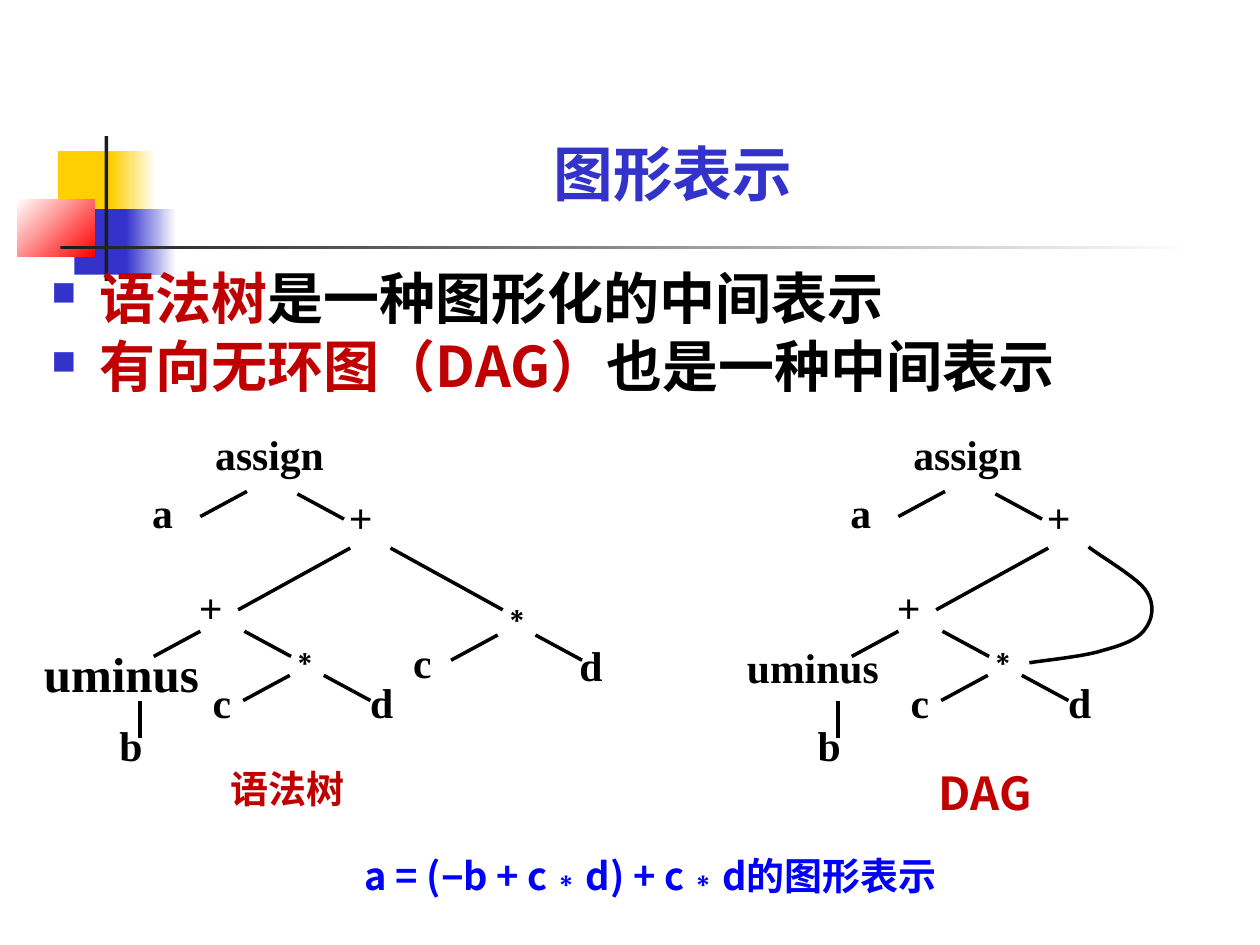
from pptx import Presentation
from pptx.dml.color import RGBColor
from pptx.enum.shapes import MSO_CONNECTOR as Link, MSO_SHAPE as Shape
from pptx.enum.text import MSO_ANCHOR as Anchor, MSO_AUTO_SIZE as Fit, PP_ALIGN as Align
from pptx.oxml.ns import qn
from pptx.util import Inches, Pt
from lxml.etree import SubElement

BLACK = RGBColor(0, 0, 0)
WHITE = RGBColor(255, 255, 255)
DARK = RGBColor(0x1C, 0x1C, 0x1C)
GOLD = RGBColor(0xFF, 0xCF, 0x01)
INDIGO = RGBColor(0x33, 0x33, 0xCC)
RED = RGBColor(255, 0, 0)
CRIMSON = RGBColor(0xC0, 0, 0)
BLUE = RGBColor(0, 0, 255)
SANS, SERIF, ARIAL = "Noto Sans CJK JP", "Times New Roman", "Arial"
STAR, MINUS = "∗", "−"

TITLE = "图形表示"
POINTS = [
    [("语法树", CRIMSON), ("是一种图形化的中间表示", BLACK)],
    [("有向无环图（DAG）", CRIMSON), ("也是一种中间表示", BLACK)],
]
FORMULA = ["a = (", MINUS, "b + c", STAR, "d) + c", STAR, "d的图形表示"]

# box, start colour, end colour (None for a plain fill), angle
DECOR = [
    ((0.46, 1.2, 0.48, 0.52), GOLD, None, 0),
    ((0.88, 1.2, 0.36, 0.52), GOLD, WHITE, 0),
    ((0.59, 1.66, 0.46, 0.52), INDIGO, None, 0),
    ((1, 1.66, 0.4, 0.52), INDIGO, WHITE, 0),
    ((0.14, 1.58, 0.61, 0.46), WHITE, RED, 315),
    ((0.83, 1.08, 0.03, 1.15), DARK, None, 0),
    ((0.48, 1.95, 9, 0.03), DARK, WHITE, 0),
]

# Both trees share these parts; the DAG stands SHIFT inches to the right.
SHIFT = 5.54
NODES = [
    ("assign", 1.61, 3.44), ("a", 1.11, 3.9), ("+", 2.67, 3.94),
    ("+", 1.48, 4.65), (STAR, 2.16, 5.02), ("b", 0.85, 5.75),
    ("c", 1.59, 5.41), ("d", 2.84, 5.41),
]
LEFT, RIGHT, DOWN = (-0.37, 0.2), (0.37, 0.2), (0, 0.3)
FAR_LEFT, FAR_RIGHT = (-0.89, 0.49), (0.89, 0.49)
EDGES = [
    (1.96, 3.9, LEFT), (2.36, 3.92, RIGHT), (2.78, 4.35, FAR_LEFT),
    (1.59, 5.01, LEFT), (1.94, 5.01, RIGHT), (2.3, 5.36, LEFT),
    (2.57, 5.36, RIGHT), (1.11, 5.56, DOWN),
]
# The second product c * d exists only in the syntax tree.
TWIN_NODES = [(STAR, 3.84, 4.68), ("c", 3.18, 5.09), ("d", 4.5, 5.11)]
TWIN_EDGES = [(3.1, 4.35, FAR_RIGHT), (3.95, 5.04, LEFT), (4.25, 5.04, RIGHT)]
# Bezier chain: start, then two handles and an end for each piece
ARC = [
    (8.64, 4.34), (8.71, 4.4), (9.02, 4.58), (9.09, 4.68),
    (9.17, 4.79), (9.15, 4.91), (9.09, 4.99),
    (9.04, 5.07), (8.91, 5.12), (8.76, 5.16),
    (8.61, 5.21), (8.29, 5.24), (8.17, 5.26),
]


def inch(*vals):
    return [Inches(v) for v in vals]


def style(run, size, color, face):
    """Format a run, with a matching font for East Asian characters."""
    font = run.font
    font.size, font.bold, font.name = Pt(size), True, face
    font.color.rgb = color
    east = SubElement(font._element, qn("a:ea"))
    east.set("typeface", SERIF if run.text == STAR else SANS)


def frame(shape, pad=0.05):
    text = shape.text_frame
    text.word_wrap, text.auto_size = True, Fit.NONE
    text.margin_left = text.margin_right = Inches(0.1)
    text.margin_top = text.margin_bottom = Inches(pad)
    return text


def label(shapes, parts, box, size, color=BLACK, face=SANS,
          align=Align.CENTER, space=0.9, pad=0.05):
    para = frame(shapes.add_textbox(*inch(*box)), pad).paragraphs[0]
    para.alignment, para.line_spacing = align, space
    for part in parts:
        run = para.add_run()
        run.text = part
        style(run, size, color, ARIAL if part in (STAR, MINUS) else face)


def node(shapes, text, x, y, size=23.8, space=0.9):
    wide = {"assign": 1.39, "uminus": 1.75}.get(text, 0.66)
    label(shapes, [text], (x, y, wide, 0.43), size, face=SERIF,
          align=Align.JUSTIFY, space=space, pad=0.01)


def ink(shape):
    shape.line.color.rgb, shape.line.width = BLACK, Pt(2)


def tree(slide, nodes, edges, shift=0):
    shapes = slide.shapes.add_group_shape().shapes
    for text, x, y in nodes:
        node(shapes, text, x + shift, y)
    for x, y, (dx, dy) in edges:
        x += shift
        edge = shapes.add_connector(Link.STRAIGHT, *inch(x, y, x + dx, y + dy))
        ink(edge)
        SubElement(edge._element.spPr, qn("a:effectLst"))
    return shapes


def curve(shapes, chain, steps=10):
    """Draw a chain of cubic Bezier pieces as a fine open polyline."""
    dots = []
    for i in range(0, len(chain) - 1, 3):
        for k in range(1, steps + 1):
            t = k / steps
            mix = ((1 - t) ** 3, 3 * t * (1 - t) ** 2, 3 * t * t * (1 - t), t ** 3)
            dots.append(inch(*(sum(m * p[axis] for m, p in zip(mix, chain[i:i + 4]))
                               for axis in (0, 1))))
    path = shapes.build_freeform(*inch(*chain[0]))
    path.add_line_segments(dots, close=False)
    arc = path.convert_to_shape()
    arc.fill.background()
    arc.shadow.inherit = False
    ink(arc)


def decor(slide):
    for box, start, end, angle in DECOR:
        block = slide.shapes.add_shape(Shape.RECTANGLE, *inch(*box))
        block.shadow.inherit = False
        block.line.fill.background()
        if end is None:
            block.fill.solid()
            block.fill.fore_color.rgb = start
            continue
        block.fill.gradient()
        block.fill.gradient_angle = angle
        for stop, color in zip(block.fill.gradient_stops, (start, end)):
            stop.color.rgb = color


def bullet(para):
    props = para._p.get_or_add_pPr()
    props.set("marL", str(Inches(0.38)))
    props.set("indent", str(-Inches(0.38)))
    tint = SubElement(SubElement(props, qn("a:buClr")), qn("a:srgbClr"))
    tint.set("val", str(INDIGO))
    SubElement(props, qn("a:buSzPct")).set("val", "60000")
    SubElement(props, qn("a:buChar")).set("char", "■")


def points(slide):
    text = frame(slide.shapes.add_textbox(*inch(0.31, 2.1, 9.37, 1.33)))
    for i, parts in enumerate(POINTS):
        para = text.add_paragraph() if i else text.paragraphs[0]
        para.line_spacing, para.space_before = 0.9, Pt(4.6 if i else 0)
        bullet(para)
        for part, color in parts:
            run = para.add_run()
            run.text = part
            style(run, 32, color, SANS)


def heading(slide):
    title = slide.shapes.title
    title.left, title.top, title.width, title.height = inch(1.69, 0.99, 7.3, 0.71)
    text = frame(title)
    text.text, text.vertical_anchor = TITLE, Anchor.BOTTOM
    para = text.paragraphs[0]
    para.alignment, para.line_spacing = Align.CENTER, 0.8
    style(para.runs[0], 34.1, INDIGO, SANS)


def main():
    deck = Presentation()
    deck.slide_width, deck.slide_height = inch(10, 7.5)
    slide = deck.slides.add_slide(deck.slide_layouts[5])
    decor(slide)
    heading(slide)
    points(slide)

    dag = tree(slide, NODES, EDGES, SHIFT)
    node(dag, "uminus", 5.83, 5.13)
    curve(dag, ARC)
    label(dag, ["DAG"], (6.94, 6.07, 1.76, 0.55), 25.9, CRIMSON)

    syntax = tree(slide, NODES + TWIN_NODES, EDGES + TWIN_EDGES)
    node(syntax, "uminus", 0.25, 5.1, 28, 1)
    label(syntax, ["语法树"], (1.17, 6.1, 2.22, 0.5), 21.7, CRIMSON, space=0.8)
    label(syntax, FORMULA, (2.25, 6.79, 5.83, 0.5), 21.7, BLUE, space=0.8)
    deck.save("out.pptx")


if __name__ == "__main__":
    main()
